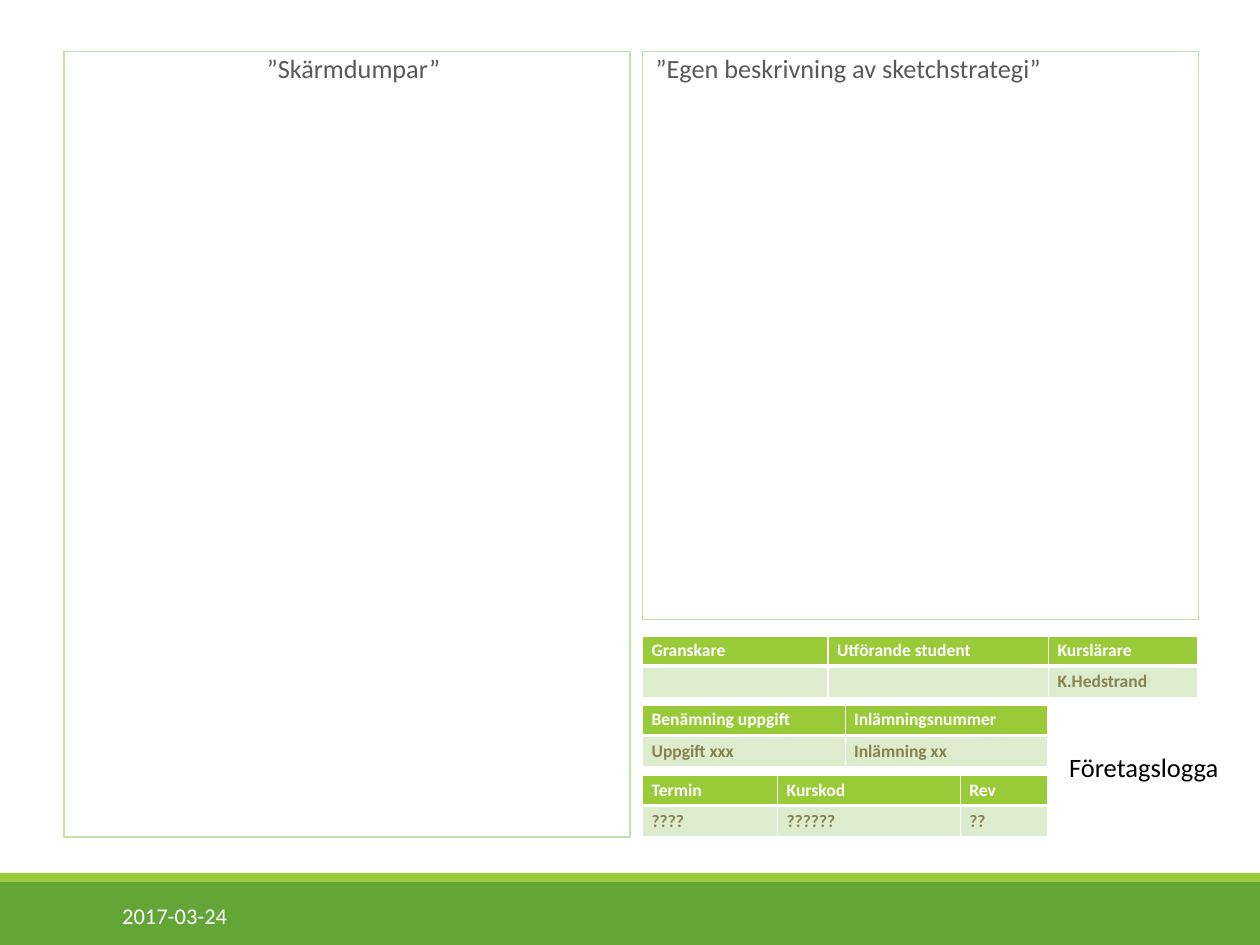
import dataclasses
import typing

import lxml.etree
import pptx
import pptx.dml.color
import pptx.enum.shapes
import pptx.enum.text
import pptx.oxml.ns
import pptx.util

Inches = pptx.util.Inches
Pt = pptx.util.Pt
RGBColor = pptx.dml.color.RGBColor
Align = pptx.enum.text.PP_ALIGN
Anchor = pptx.enum.text.MSO_ANCHOR
qn = pptx.oxml.ns.qn

WHITE = RGBColor(0xFF, 0xFF, 0xFF)
BLACK = RGBColor(0x00, 0x00, 0x00)
GREEN = RGBColor(0x63, 0xA5, 0x37)
LIME = RGBColor(0x99, 0xCB, 0x38)
PALE_GREEN = RGBColor(0xDE, 0xEC, 0xCE)
FRAME_GREEN = RGBColor(0xBF, 0xE2, 0xA8)
GREY = RGBColor(0x59, 0x59, 0x59)
OLIVE = RGBColor(0x89, 0x81, 0x4E)

FONT = "Calibri"
TABLE_SIZE = 14
TABLE_LEFT = 7.14
ROW_HEIGHTS = (0.33, 0.35)


@dataclasses.dataclass
class Band:
    top: float
    height: float
    color: RGBColor


@dataclasses.dataclass
class Panel:
    left: float
    width: float
    height: float
    text: str
    align: Align


@dataclasses.dataclass
class InfoTable:
    top: float
    widths: tuple[float, ...]
    headings: tuple[str, ...]
    values: tuple[str, ...]


BANDS = (Band(9.8, 0.7, GREEN), Band(9.7, 0.1, LIME))
PANELS = (
    Panel(0.71, 6.29, 8.73, "”Skärmdumpar”", Align.CENTER),
    Panel(7.14, 6.18, 6.31, "”Egen beskrivning av sketchstrategi”", Align.LEFT),
)
TABLES = (
    InfoTable(7.07, (2.06, 2.45, 1.66),
              ("Granskare", "Utförande student", "Kurslärare"),
              ("", "", "K.Hedstrand")),
    InfoTable(7.84, (2.25, 2.25),
              ("Benämning uppgift", "Inlämningsnummer"),
              ("Uppgift xxx", "Inlämning xx")),
    InfoTable(8.62, (1.5, 2.03, 0.97),
              ("Termin", "Kurskod", "Rev"),
              ("????", "??????", "??")),
)


def write_text(frame: typing.Any, text: str, *, size: float, color: RGBColor,
               bold: bool = False, align: Align = Align.LEFT,
               anchor: Anchor = Anchor.TOP) -> typing.Any:
    frame.vertical_anchor = anchor
    para = frame.paragraphs[0]
    para.alignment = align
    if text:
        span = para.add_run()
        span.text = text
        span.font.name = FONT
        span.font.size = Pt(size)
        span.font.bold = bold
        span.font.color.rgb = color
    else:
        lxml.etree.SubElement(para._p, qn("a:endParaRPr"), sz=str(size * 100))
    return para


def add_rectangle(page: typing.Any, left: float, top: float, width: float,
                  height: float) -> typing.Any:
    box = page.shapes.add_shape(
        pptx.enum.shapes.MSO_SHAPE.RECTANGLE,
        Inches(left), Inches(top), Inches(width), Inches(height))
    box.shadow.inherit = False
    return box


def draw_band(page: typing.Any, band: Band) -> None:
    box = add_rectangle(page, 0, band.top, 14, band.height)
    box.fill.solid()
    box.fill.fore_color.rgb = band.color
    box.line.fill.background()


def draw_panel(page: typing.Any, panel: Panel) -> None:
    box = add_rectangle(page, panel.left, 0.57, panel.width, panel.height)
    box.fill.background()
    box.line.color.rgb = FRAME_GREEN
    box.line.width = Pt(1)
    frame = box.text_frame
    frame.word_wrap = True
    frame.margin_left = frame.margin_right = 0
    para = write_text(frame, panel.text, size=21, color=GREY, align=panel.align)
    para.line_spacing = 0.9
    para.space_before = Pt(12.6)
    para.space_after = Pt(2.1)
    properties = para._p.get_or_add_pPr()
    properties.set("marL", str(Inches(0.1)))
    properties.set("indent", str(Inches(-0.1)))
    bullet_color = lxml.etree.SubElement(properties, qn("a:buClr"))
    lxml.etree.SubElement(bullet_color, qn("a:srgbClr"), val=str(LIME))
    lxml.etree.SubElement(properties, qn("a:buChar"), char=" ")


def set_borders(cell: typing.Any, top: float, bottom: float) -> None:
    properties = cell._tc.get_or_add_tcPr()
    widths = {"a:lnL": 1, "a:lnR": 1, "a:lnT": top, "a:lnB": bottom}
    for index, (tag, width) in enumerate(widths.items()):
        line = lxml.etree.Element(qn(tag), w=str(Pt(width)))
        fill = lxml.etree.SubElement(line, qn("a:solidFill"))
        lxml.etree.SubElement(fill, qn("a:srgbClr"), val=str(WHITE))
        properties.insert(index, line)


def draw_table(page: typing.Any, info: InfoTable) -> None:
    table = page.shapes.add_table(
        2, len(info.widths), Inches(TABLE_LEFT), Inches(info.top),
        Inches(sum(info.widths)), Inches(sum(ROW_HEIGHTS))).table
    table.horz_banding = False
    for column, width in zip(table.columns, info.widths):
        column.width = Inches(width)
    for row, height in zip(table.rows, ROW_HEIGHTS):
        row.height = Inches(height)
    styles = (
        (info.headings, LIME, WHITE, Anchor.TOP, 1, 3),
        (info.values, PALE_GREEN, OLIVE, Anchor.MIDDLE, 3, 1),
    )
    for row, (texts, fill, color, anchor, top, bottom) in zip(table.rows, styles):
        for cell, text in zip(row.cells, texts):
            cell.fill.solid()
            cell.fill.fore_color.rgb = fill
            cell.margin_top = cell.margin_bottom = Inches(0.04)
            cell.vertical_anchor = anchor
            write_text(cell.text_frame, text, size=TABLE_SIZE, color=color,
                       bold=True, anchor=anchor)
            set_borders(cell, top, bottom)


def draw_label(page: typing.Any, left: float, top: float, width: float,
               height: float, text: str, *, size: float, color: RGBColor,
               wrap: bool, anchor: Anchor) -> None:
    box = page.shapes.add_textbox(
        Inches(left), Inches(top), Inches(width), Inches(height))
    box.text_frame.word_wrap = wrap
    write_text(box.text_frame, text, size=size, color=color, anchor=anchor)


def main() -> None:
    deck = pptx.Presentation()
    deck.slide_width = Inches(14)
    deck.slide_height = Inches(10.5)
    page = deck.slides.add_slide(deck.slide_layouts[6])
    for band in BANDS:
        draw_band(page, band)
    for panel in PANELS:
        draw_panel(page, panel)
    draw_label(page, 1.26, 9.89, 2.84, 0.56, "2017-03-24",
               size=18, color=WHITE, wrap=True, anchor=Anchor.MIDDLE)
    for info in TABLES:
        draw_table(page, info)
    draw_label(page, 11.78, 8.3, 1.87, 0.46, "Företagslogga",
               size=21.2, color=BLACK, wrap=False, anchor=Anchor.TOP)
    deck.save("out.pptx")


if __name__ == "__main__":
    main()
